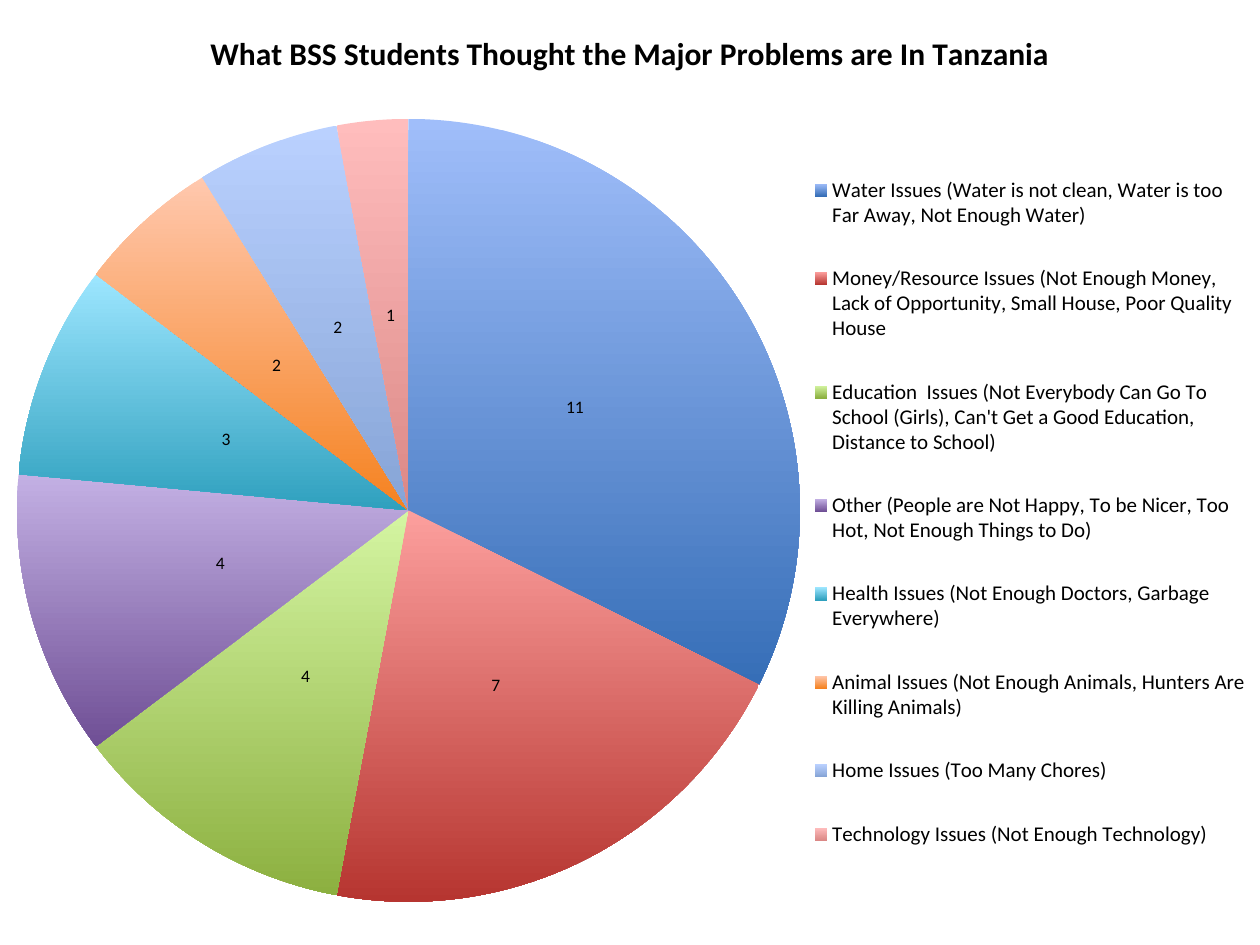
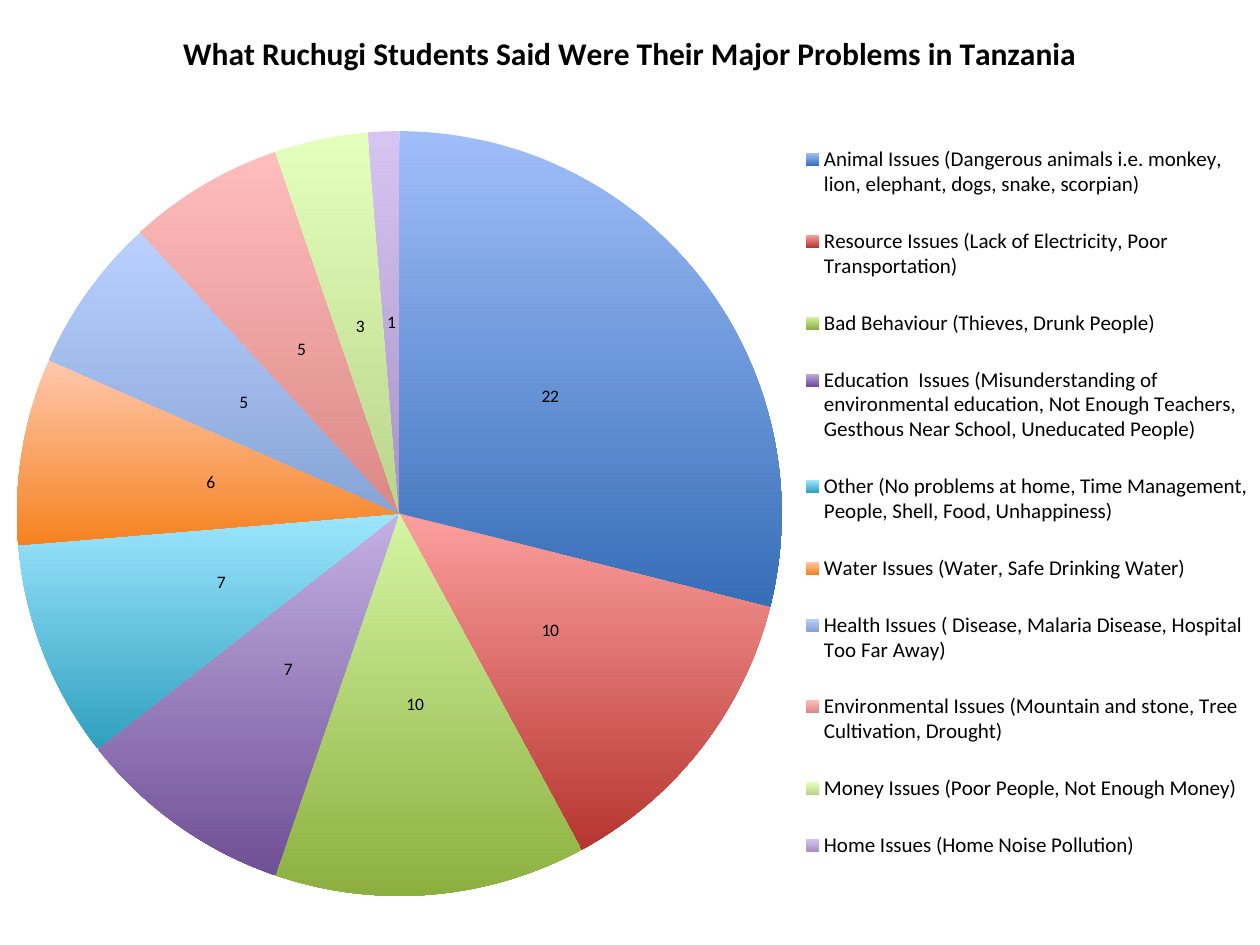
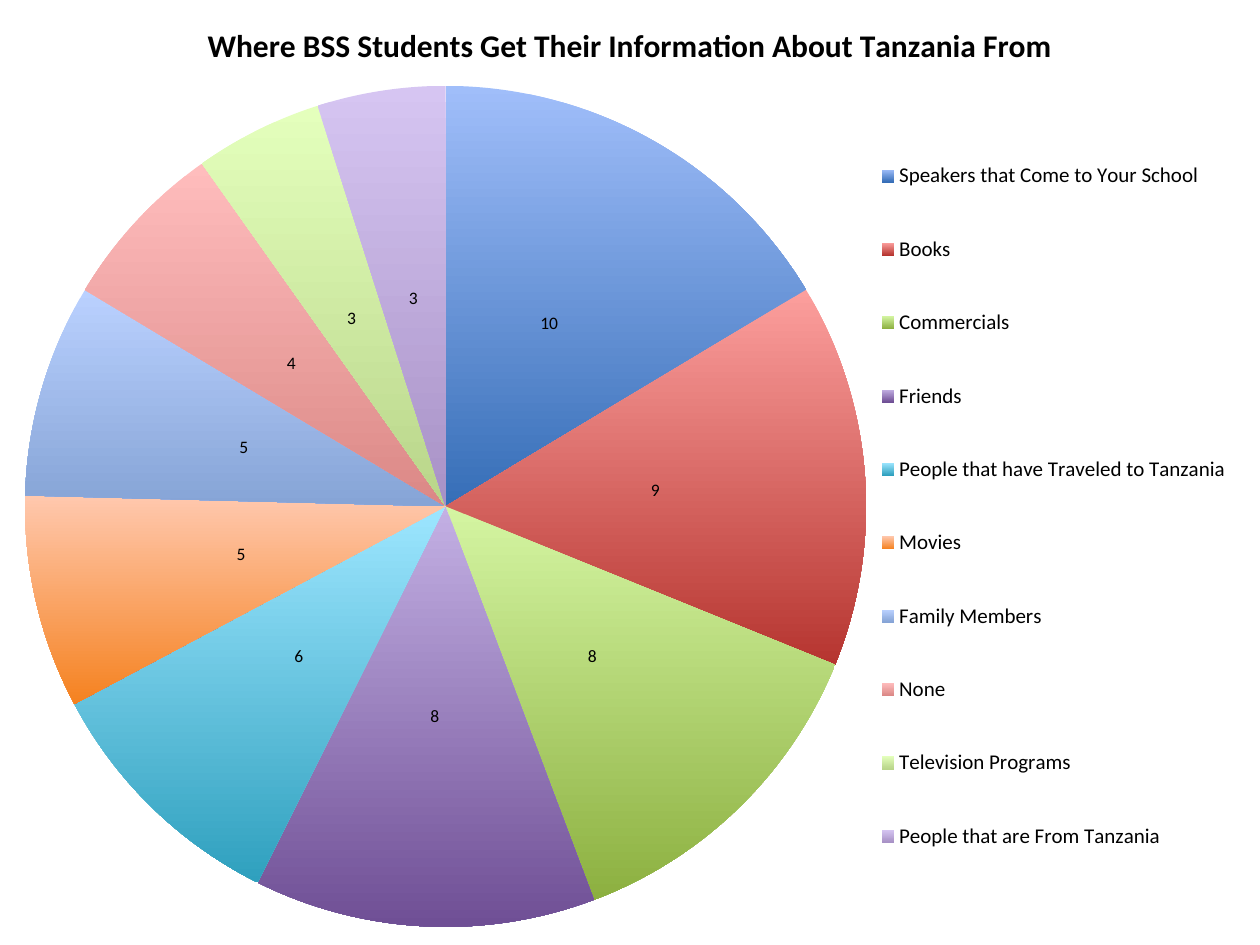
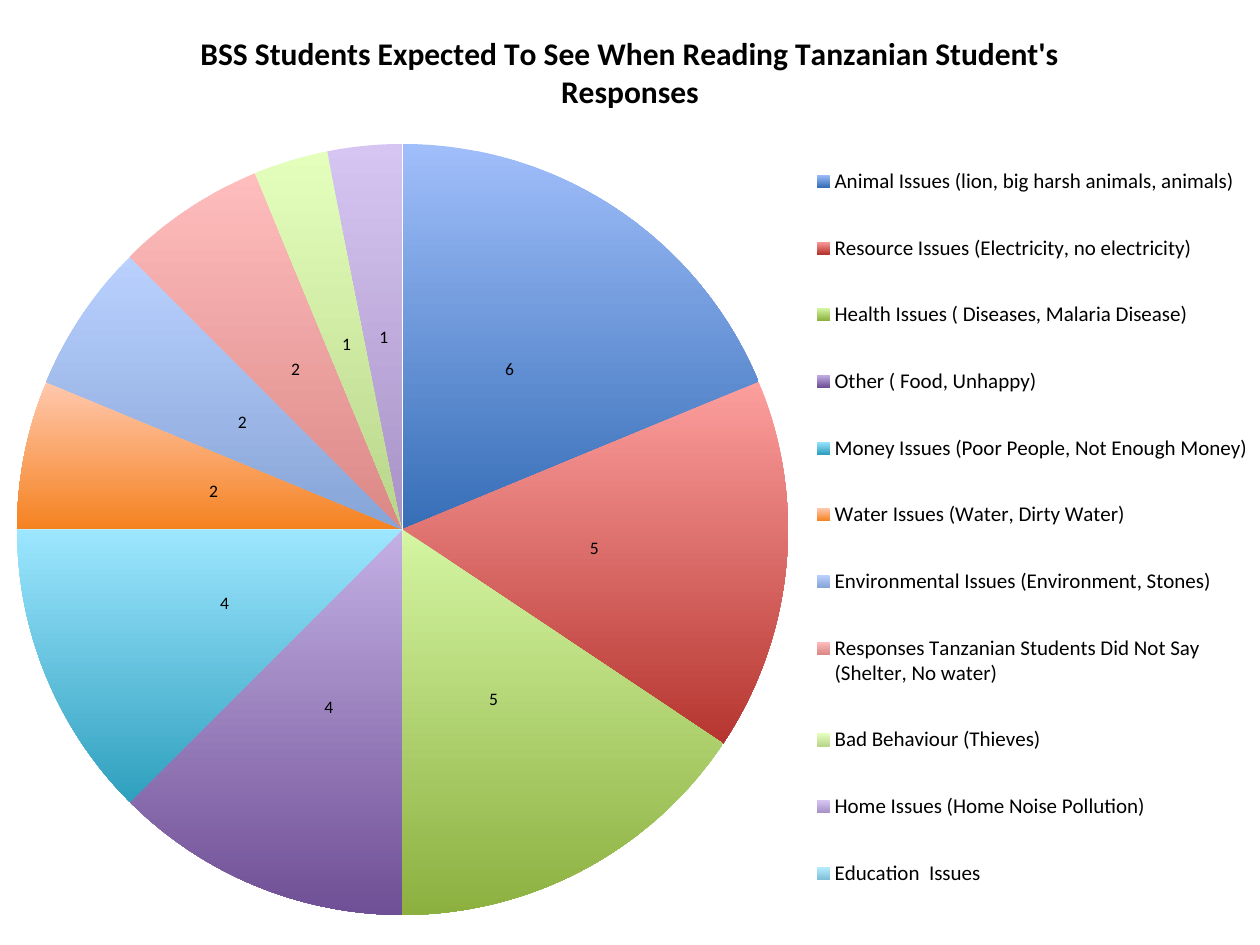
"""Build four pie-chart slides on a student survey about Tanzania."""
from dataclasses import dataclass
from typing import Any

from pptx import Presentation
from pptx.chart.chart import Chart
from pptx.chart.data import CategoryChartData
from pptx.dml.color import RGBColor
from pptx.enum.chart import XL_CHART_TYPE, XL_LABEL_POSITION, XL_LEGEND_POSITION
from pptx.oxml import parse_xml
from pptx.oxml.ns import nsdecls, qn
from pptx.util import Pt

SLIDE_WIDTH, SLIDE_HEIGHT = 720, 540
BLANK_LAYOUT = 6


@dataclass(frozen=True)
class Theme:
    """Colours and type sizes shared by every slide."""
    font: str = "Calibri"
    ink: str = "000000"
    title_size: float = 18
    legend_size: float = 12
    label_size: float = 10
    gradients: tuple[tuple[str, str], ...] = (
        ("A0BEFA", "366EB7"), ("FC9F9D", "B63530"), ("D4F5A2", "8CB040"),
        ("C3B0E4", "6F4F95"), ("9DE6FF", "2FA0BE"), ("FFC8AE", "F58220"),
        ("BAD1FF", "86A4D6"), ("FFBDBD", "DB8886"), ("E4FFBC", "B9D58A"),
        ("D6C5F2", "A892C6"), ("B8EEFF", "80C0D8"),
    )


@dataclass(frozen=True)
class Box:
    """A rectangle in points, measured inside its chart."""
    left: float
    top: float
    width: float
    height: float


@dataclass(frozen=True)
class Survey:
    """One survey question with its answers and the places of its parts."""
    title: str
    answers: dict[str, int]
    pie: Box
    legend: Box
    chart_top: float = 0


THEME = Theme()

SURVEYS = (
    Survey(
        "What BSS Students Thought the Major Problems are In Tanzania",
        {
            "Water Issues (Water is not clean, Water is too Far Away, Not Enough Water)": 11,
            "Money/Resource Issues (Not Enough Money, Lack of Opportunity, Small House, "
            "Poor Quality House": 7,
            "Education  Issues (Not Everybody Can Go To School (Girls), "
            "Can't Get a Good Education, Distance to School)": 4,
            "Other (People are Not Happy, To be Nicer, Too Hot, Not Enough Things to Do)": 4,
            "Health Issues (Not Enough Doctors, Garbage Everywhere)": 3,
            "Animal Issues (Not Enough Animals, Hunters Are Killing Animals)": 2,
            "Home Issues (Too Many Chores)": 2,
            "Technology Issues (Not Enough Technology)": 1,
        },
        Box(9.7, 68, 447.4, 447.4),
        Box(469, 79.5, 247, 426.5),
    ),
    Survey(
        "What Ruchugi Students Said Were Their Major Problems in Tanzania",
        {
            "Animal Issues (Dangerous animals i.e. monkey, lion, elephant, dogs, "
            "snake, scorpian)": 22,
            "Resource Issues (Lack of Electricity, Poor Transportation)": 10,
            "Bad Behaviour (Thieves, Drunk People)": 10,
            "Education  Issues (Misunderstanding of environmental education, "
            "Not Enough Teachers, Gesthous Near School, Uneducated People)": 7,
            "Other (No problems at home, Time Management, People, Shell, Food, "
            "Unhappiness)": 7,
            "Water Issues (Water, Safe Drinking Water)": 6,
            "Health Issues ( Disease, Malaria Disease, Hospital Too Far Away)": 5,
            "Environmental Issues (Mountain and stone, Tree Cultivation, Drought)": 5,
            "Money Issues (Poor People, Not Enough Money)": 3,
            "Home Issues (Home Noise Pollution)": 1,
        },
        Box(9.7, 75, 437, 437),
        Box(460, 66, 256, 442.5),
    ),
    Survey(
        "Where BSS Students Get Their Information About Tanzania From",
        {
            "Speakers that Come to Your School": 10,
            "Books": 9,
            "Commercials": 8,
            "Friends": 8,
            "People that have Traveled to Tanzania": 6,
            "Movies": 5,
            "Family Members": 5,
            "None": 4,
            "Television Programs": 3,
            "People that are From Tanzania": 3,
        },
        Box(14.3, 53.4, 480.6, 480.6),
        Box(498, 70, 208, 447),
        chart_top=-4.3,
    ),
    Survey(
        "BSS Students Expected To See When Reading Tanzanian Student's Responses",
        {
            "Animal Issues (lion, big harsh animals, animals)": 6,
            "Resource Issues (Electricity, no electricity)": 5,
            "Health Issues ( Diseases, Malaria Disease)": 5,
            "Other ( Food, Unhappy)": 4,
            "Money Issues (Poor People, Not Enough Money)": 4,
            "Water Issues (Water, Dirty Water)": 2,
            "Environmental Issues (Environment, Stones)": 2,
            "Responses Tanzanian Students Did Not Say (Shelter, No water)": 2,
            "Bad Behaviour (Thieves)": 1,
            "Home Issues (Home Noise Pollution)": 1,
            "Education  Issues": 0,
        },
        Box(9.7, 82.3, 440.6, 440.6),
        Box(464, 72.5, 252, 457.5),
    ),
)


def apply_format(target: Any, values: dict[str, Any]) -> None:
    """Set each named attribute of the target."""
    for attribute, value in values.items():
        setattr(target, attribute, value)


def style_font(font: Any, size: float, bold: bool = False) -> None:
    """Give a font the theme's face and colour at the given size."""
    apply_format(font, {"name": THEME.font, "size": Pt(size), "bold": bold})
    font.color.rgb = RGBColor.from_string(THEME.ink)


def place_part(part: Any, box: Box, chart_height: float, index: int, inner: bool = False) -> None:
    """Fix a chart part at a box by a manual layout, put at the given child index."""
    for old_layout in part.findall(qn("c:layout")):
        part.remove(old_layout)
    target = '<c:layoutTarget val="inner"/>' if inner else ""
    fractions = {
        "x": box.left / SLIDE_WIDTH, "y": box.top / chart_height,
        "w": box.width / SLIDE_WIDTH, "h": box.height / chart_height,
    }
    modes = "".join(f'<c:{axis}Mode val="edge"/>' for axis in "xy")
    sizes = "".join(f'<c:{key} val="{value:.4f}"/>' for key, value in fractions.items())
    part.insert(index, parse_xml(
        f'<c:layout {nsdecls("c")}><c:manualLayout>{target}{modes}{sizes}'
        "</c:manualLayout></c:layout>"
    ))


def paint_slices(chart: Chart, count: int) -> None:
    """Shade every slice from light at the top to dark at the bottom."""
    answers = chart.plots[0].series[0]
    for index, shades in enumerate(THEME.gradients[:count]):
        slice_format = answers.points[index].format
        slice_format.line.fill.background()
        slice_format.fill.gradient()
        slice_format.fill.gradient_angle = 270
        for stop, shade in zip(slice_format.fill.gradient_stops, shades):
            stop.color.rgb = RGBColor.from_string(shade)


def add_survey(deck: Any, survey: Survey) -> None:
    """Add a slide filled by the pie chart of one survey question."""
    slide = deck.slides.add_slide(deck.slide_layouts[BLANK_LAYOUT])
    counts = CategoryChartData()
    counts.categories = list(survey.answers)
    counts.add_series("Series 1", list(survey.answers.values()))
    chart_height = SLIDE_HEIGHT - survey.chart_top
    chart = slide.shapes.add_chart(
        XL_CHART_TYPE.PIE, Pt(0), Pt(survey.chart_top),
        Pt(SLIDE_WIDTH), Pt(chart_height), counts,
    ).chart
    style_font(chart.font, THEME.label_size)
    apply_format(chart, {"has_title": True, "has_legend": True})

    heading = chart.chart_title.text_frame
    heading.text = survey.title
    style_font(heading.paragraphs[0].runs[0].font, THEME.title_size, bold=True)

    apply_format(chart.legend, {
        "position": XL_LEGEND_POSITION.RIGHT, "include_in_layout": False,
    })
    style_font(chart.legend.font, THEME.legend_size)

    pie = chart.plots[0]
    apply_format(pie, {"vary_by_categories": True, "has_data_labels": True})
    apply_format(pie.data_labels, {
        "show_value": True, "show_percentage": False,
        "position": XL_LABEL_POSITION.CENTER,
    })
    style_font(pie.data_labels.font, THEME.label_size)
    paint_slices(chart, len(survey.answers))

    place_part(pie._element.getparent(), survey.pie, chart_height, 0, inner=True)
    place_part(chart.legend._element, survey.legend, chart_height, 1)


def main() -> None:
    """Build and save the deck."""
    deck = Presentation()
    apply_format(deck, {"slide_width": Pt(SLIDE_WIDTH), "slide_height": Pt(SLIDE_HEIGHT)})
    for survey in SURVEYS:
        add_survey(deck, survey)
    deck.save("out.pptx")


if __name__ == "__main__":
    main()
